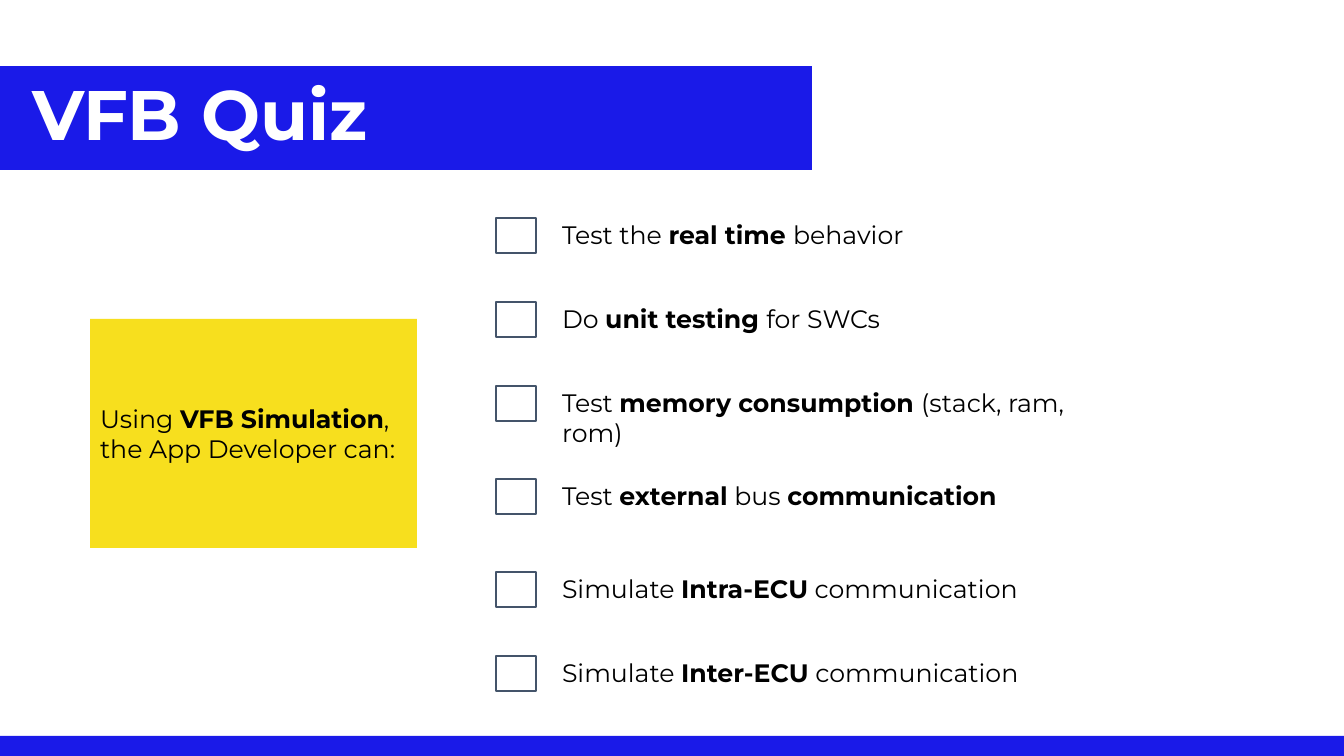
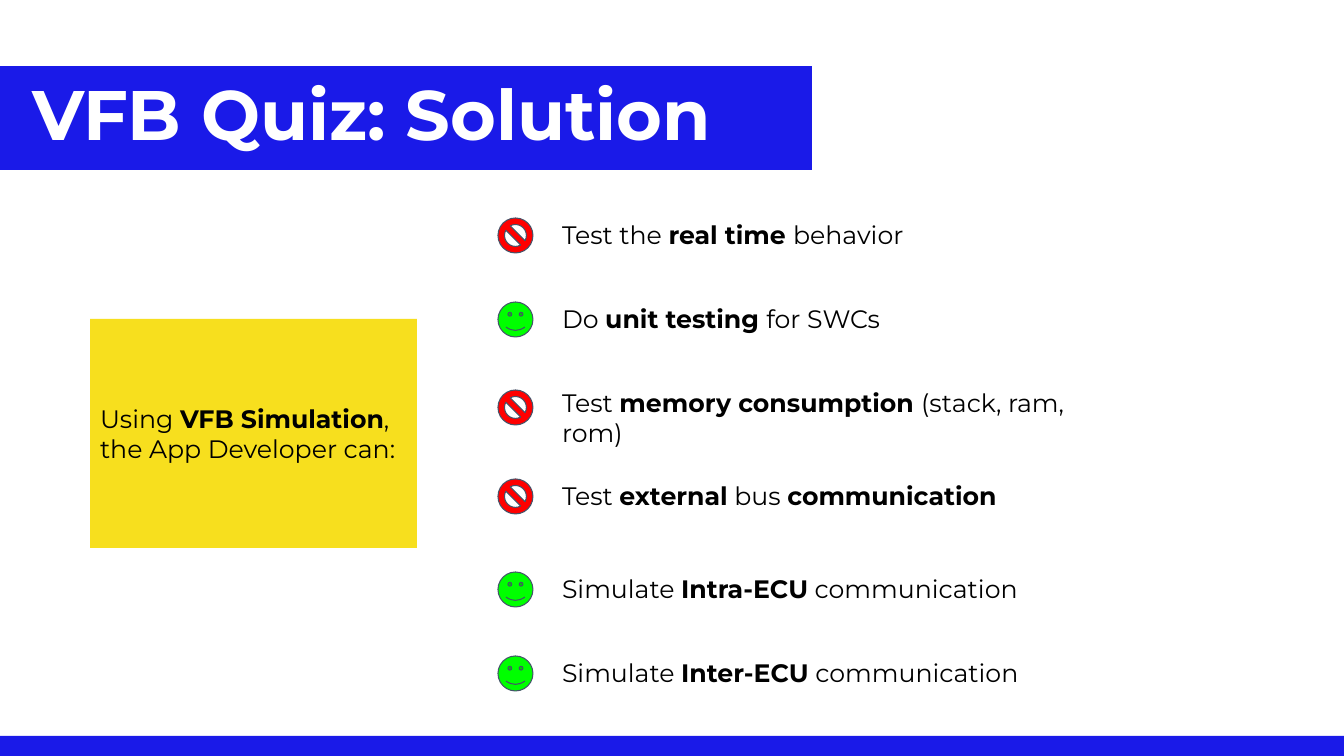
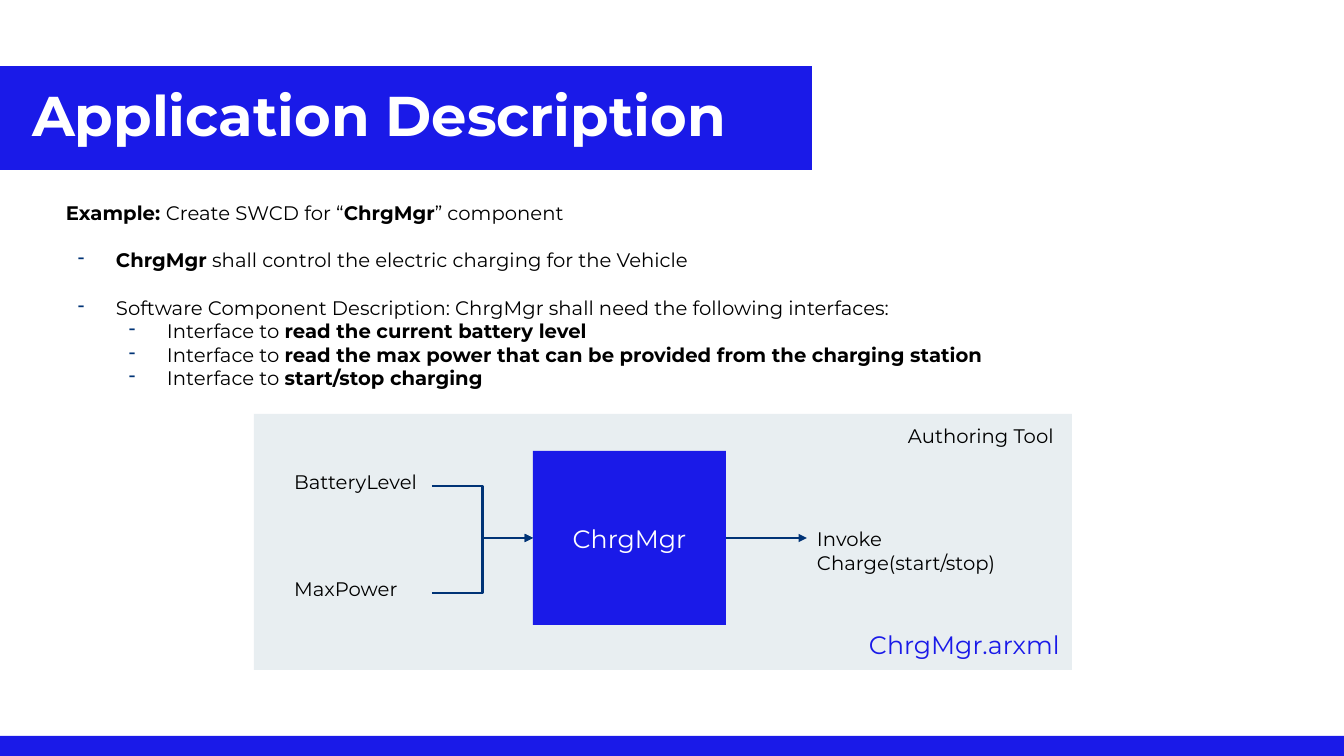
import pptx
import pptx.dml.color
import pptx.enum.shapes
import pptx.enum.text
import pptx.oxml
import pptx.oxml.ns
import pptx.util

PX = 9071  # EMU in one px, 1344 px across the slide
FONT = "Montserrat"
BLUE, NAVY, SLATE = "1A1AE8", "003376", "44546A"
WHITE, BLACK, PALE, YELLOW = "FFFFFF", "000000", "E8EEF1", "F7DF1E"
RED, GREEN = "FF0000", "00FF00"
SHAPE = pptx.enum.shapes.MSO_SHAPE
ANCHOR = pptx.enum.text.MSO_ANCHOR
ALIGN = pptx.enum.text.PP_ALIGN
qn = pptx.oxml.ns.qn


def rgb(value):
    return pptx.dml.color.RGBColor.from_string(value)


def add_box(page, place, text="", fill=None, line=None, line_width=1.5, kind=SHAPE.RECTANGLE,
            size=18, colour=BLACK, margin=10, anchor=ANCHOR.TOP, align=ALIGN.LEFT):
    """Add a shape, or a text box if there is no fill; *stars* mark bold text."""
    place = [length * PX for length in place]
    if fill:
        box = page.shapes.add_shape(kind, *place)
        box.shadow.inherit = False
        box.fill.solid()
        box.fill.fore_color.rgb = rgb(fill)
        if line:
            box.line.color.rgb = rgb(line)
            box.line.width = pptx.util.Pt(line_width)
        else:
            box.line.fill.background()
    else:
        box = page.shapes.add_textbox(*place)
    if not text:
        return box
    frame = box.text_frame
    frame.word_wrap = True
    frame.vertical_anchor = anchor
    frame.margin_left = frame.margin_right = 10 * PX
    frame.margin_top = frame.margin_bottom = margin * PX
    frame.text = text.replace("*", "")
    for para, marked in zip(frame.paragraphs, text.split("\n")):
        para.alignment = align
        para.text = ""
        for number, words in enumerate(marked.split("*")):
            if words:
                span = para.add_run()
                span.text = words
                span.font.name = FONT
                span.font.size = pptx.util.Pt(size)
                span.font.bold = number % 2 == 1
                span.font.color.rgb = rgb(colour)
    return box


deck = pptx.Presentation()
deck.slide_width = 1344 * PX
deck.slide_height = 756 * PX
layout = deck.slide_layouts[5]

# Layout: only the title placeholder stays
for holder in list(layout.placeholders)[1:]:
    holder.element.getparent().remove(holder.element)

# Pages and their titles
pages = []
for heading, size in [("VFB Quiz", 50), ("VFB Quiz: Solution", 50), ("Application Description", 40)]:
    page = deck.slides.add_slide(layout)
    title = page.shapes.title
    title.left, title.top, title.width, title.height = 22 * PX, 66 * PX, 790 * PX, 104 * PX
    frame = title.text_frame
    frame.text = heading
    frame.word_wrap = True
    frame.auto_size = pptx.enum.text.MSO_AUTO_SIZE.NONE
    frame.vertical_anchor = ANCHOR.MIDDLE
    para = frame.paragraphs[0]
    para.alignment = ALIGN.LEFT
    para.line_spacing = 0.9
    span = para.runs[0]
    span.font.name = FONT
    span.font.size = pptx.util.Pt(size)
    span.font.bold = True
    span.font.color.rgb = rgb(WHITE)
    pages.append(page)
quiz, solution, application = pages

# Shared bands, moved to the layout behind the titles
for place in [(0, 66, 812, 104), (0, 736, 1344, 20)]:
    band = add_box(quiz, place, fill=BLUE)
    layout.shapes.element.append(band.element)

# Quiz and solution: row top, statement, whether it is true, drop of the answer mark
rows = [
    (209, "Test the *real time *behavior", False, 0),
    (293, "Do *unit testing *for SWCs", True, 0),
    (377, "Test *memory consumption *(stack, ram, rom)", False, 4),
    (470, "Test *external* bus *communication*", False, 0),
    (563, "Simulate *Intra-ECU* communication", True, 0),
    (647, "Simulate *Inter-ECU* communication", True, 0),
]
for page in (quiz, solution):
    add_box(page, (90, 319, 327, 229), "Using *VFB Simulation*, the App Developer can:",
            fill=YELLOW, margin=5, anchor=ANCHOR.MIDDLE)
    for top, statement, is_true, drop in rows:
        add_box(page, (552, top, 574, 53), statement)
        if page is quiz:
            add_box(page, (496, top + 9, 40, 35), fill=WHITE, line=SLATE)
        else:
            add_box(page, (498, top + 9 + drop, 35, 35), line=SLATE, line_width=0.75,
                    fill=GREEN if is_true else RED,
                    kind=SHAPE.SMILEY_FACE if is_true else SHAPE.NO_SYMBOL)

# Application: description with dashes at two levels
description = [
    ("*Example: *Create SWCD for “*ChrgMgr*” component", 0, 0),
    ("*ChrgMgr* shall control the electric charging for the Vehicle", 50, 17),
    ("Software Component Description: ChrgMgr shall need the following interfaces:", 50, 17),
    ("Interface to *read the current battery level*", 101, 0),
    ("Interface to *read the max power that can be provided from the charging station*", 101, 0),
    ("Interface to *start/stop charging*", 101, 0),
]
body = add_box(application, (56, 196, 1094, 200), "\n".join(item[0] for item in description),
               size=14, margin=5)
for para, (_, indent, gap) in zip(body.text_frame.paragraphs, description):
    if indent:
        properties = para._p.get_or_add_pPr()
        properties.set("marL", str(indent * PX))
        properties.set("indent", str(-38 * PX))
        bullet_colour = properties.makeelement(qn("a:buClr"), {})
        bullet_colour.append(properties.makeelement(qn("a:srgbClr"), {"val": NAVY}))
        properties.append(bullet_colour)
        properties.append(properties.makeelement(qn("a:buChar"), {"char": "-"}))
    if gap:
        para.space_before = pptx.util.Pt(gap)

# Application: component diagram
add_box(application, (254, 414, 818, 256), fill=PALE)
component = add_box(application, (533, 451, 193, 174), "ChrgMgr", fill=BLUE, colour=WHITE,
                    anchor=ANCHOR.MIDDLE, align=ALIGN.CENTER)
battery = add_box(application, (284, 460, 148, 52), "BatteryLevel", fill=PALE, size=14)
power = add_box(application, (284, 567, 148, 52), "MaxPower", size=14)
charge = add_box(application, (807, 517, 205, 42), "Invoke Charge(start/stop)", size=14)
add_box(application, (859, 619, 225, 42), "ChrgMgr.arxml", colour=BLUE)
add_box(application, (898, 414, 173, 42), "Authoring Tool", size=14)

# Application: arrows from right side to left side
CONNECTOR = pptx.enum.shapes.MSO_CONNECTOR
for kind, source, target in [(CONNECTOR.ELBOW, battery, component),
                             (CONNECTOR.ELBOW, power, component),
                             (CONNECTOR.STRAIGHT, component, charge)]:
    arrow = application.shapes.add_connector(kind, 0, 0, 0, 0)
    arrow.begin_connect(source, 3)
    arrow.end_connect(target, 1)
    arrow.line.color.rgb = rgb(NAVY)
    arrow.line.width = pptx.util.Pt(1.5)
    properties = arrow.element.spPr
    properties.find(qn("a:ln")).append(properties.makeelement(qn("a:tailEnd"), {"type": "triangle"}))
    properties.append(properties.makeelement(qn("a:effectLst"), {}))

deck.save("out.pptx")
